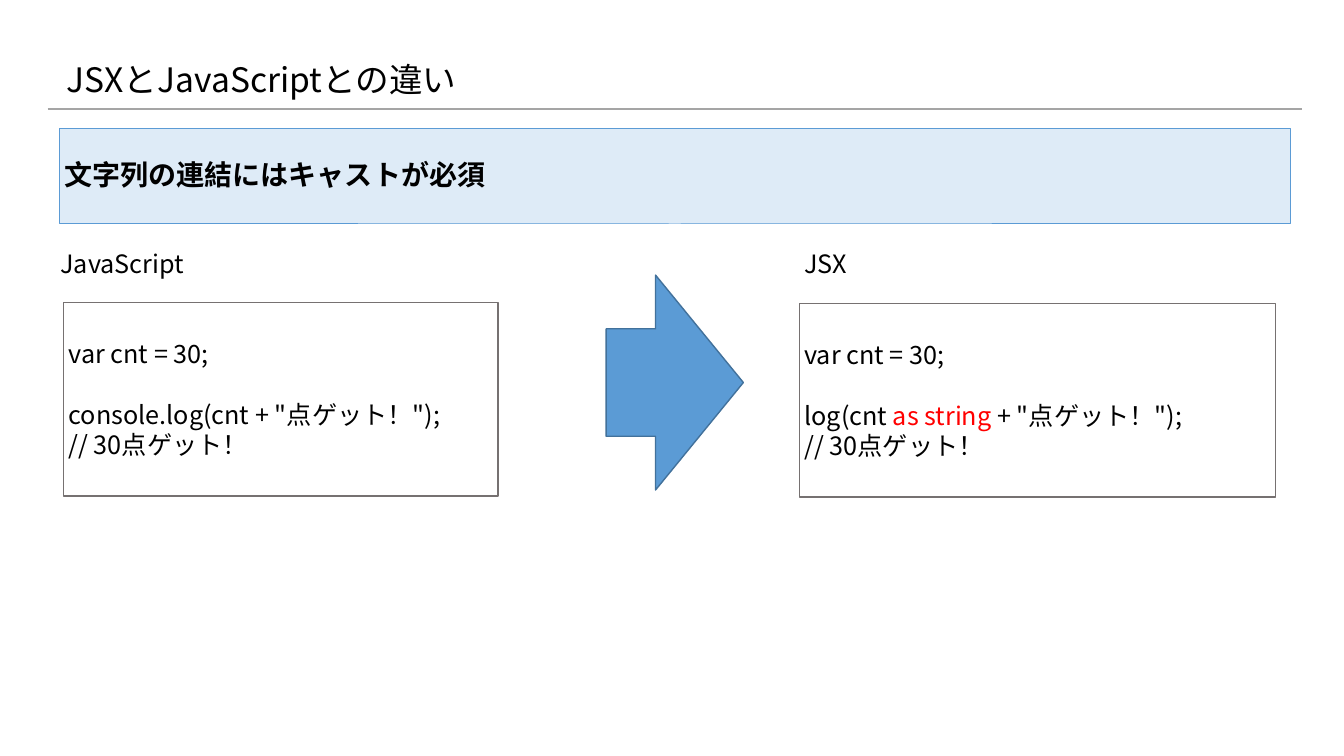
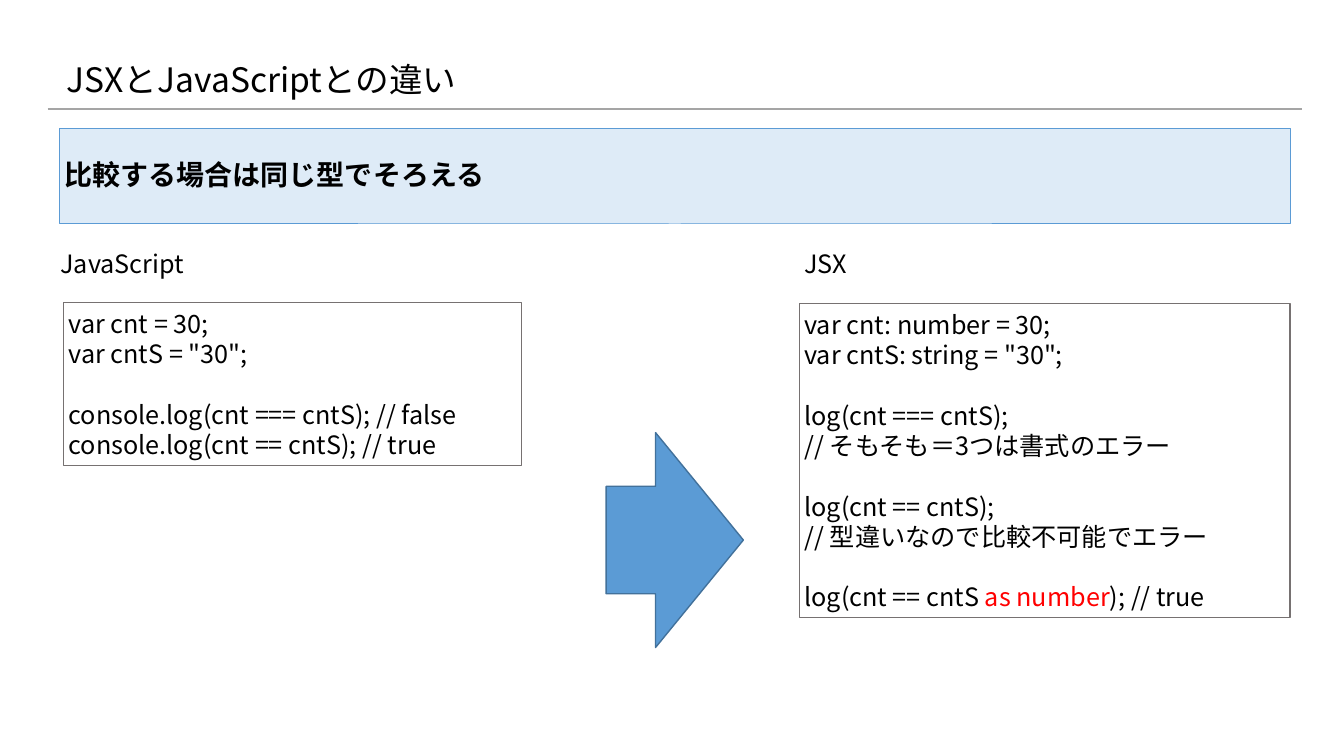
from pptx import Presentation
from pptx.dml.color import RGBColor
from pptx.enum.shapes import MSO_CONNECTOR, MSO_SHAPE
from pptx.enum.text import MSO_ANCHOR, PP_ALIGN
from pptx.oxml.ns import qn
from pptx.util import Pt
from lxml.etree import SubElement

# Content: code is a list of groups parted by a blank line, |marks| are highlighted
TITLE = "JSXとJavaScriptとの違い"
SLIDES = [
    {
        "message": "文字列の連結にはキャストが必須",
        "arrow_top": 196.5,
        "rows": (6, 6),
        "widths": (310.3, 340),
        "JavaScript": [
            ["var cnt = 30;"],
            ['console.log(cnt + "点ゲット！");', "// 30点ゲット！"],
        ],
        "JSX": [
            ["var cnt = 30;"],
            ['log(cnt |as string |+ "点ゲット！");', "// 30点ゲット！"],
        ],
    },
    {
        "message": "比較する場合は同じ型でそろえる",
        "arrow_top": 309,
        "rows": (5, 10),
        "widths": (327, 350.6),
        "JavaScript": [
            ["var cnt = 30;", 'var cntS = "30";'],
            ["console.log(cnt === cntS); // false", "console.log(cnt == cntS); // true"],
        ],
        "JSX": [
            ["var cnt: number = 30;", 'var cntS: string = "30";'],
            ["log(cnt === cntS);", "// そもそも＝3つは書式のエラー"],
            ["log(cnt == cntS);", "// 型違いなので比較不可能でエラー"],
            ["log(cnt == cntS |as number|); // true"],
        ],
    },
]

# Shared style
FONT = "Noto Sans CJK JP"
COLORS = {
    "text": "000000", "highlight": "FF0000", "rule": "A5A5A5",
    "band": "DEEBF7", "band_line": "5B9BD5", "code": "FFFFFF",
    "code_line": "767171", "arrow": "5B9BD5", "arrow_line": "42719B",
}
INSET = 3.6
LINE_HEIGHT = 21.6
# Language, label left, code left, code top
COLUMNS = [("JavaScript", 39.6, 45.4, 216), ("JSX", 571, 571, 216.7)]


def color(name):
    return RGBColor.from_string(COLORS[name])


def style_span(span, size, color_name="text", bold=False):
    span.font.size = Pt(size)
    span.font.name = FONT
    span.font.bold = bold
    span.font.color.rgb = color(color_name)
    east_asian = SubElement(span.font._element, qn("a:ea"))
    east_asian.set("typeface", FONT)


def set_frame(frame, anchor=MSO_ANCHOR.MIDDLE):
    frame.word_wrap = True
    frame.vertical_anchor = anchor
    frame.margin_left = frame.margin_right = Pt(INSET)
    frame.margin_top = frame.margin_bottom = Pt(INSET)


def set_text(shape, text, size, bold=False, anchor=MSO_ANCHOR.MIDDLE):
    frame = shape.text_frame
    set_frame(frame, anchor)
    frame.text = text
    para = frame.paragraphs[0]
    para.alignment = PP_ALIGN.LEFT
    style_span(para.runs[0], size, bold=bold)
    return para


def add_box(page, kind, place, name, line_width):
    box = page.shapes.add_shape(kind, *map(Pt, place))
    box.shadow.inherit = False
    box.fill.solid()
    box.fill.fore_color.rgb = color(name)
    box.line.color.rgb = color(name + "_line")
    box.line.width = Pt(line_width)
    return box


def add_header(page, message):
    rule = page.shapes.add_connector(
        MSO_CONNECTOR.STRAIGHT, Pt(34), Pt(78), Pt(930), Pt(78))
    rule.line.color.rgb = color("rule")
    rule.line.width = Pt(1.5)
    SubElement(rule._element.spPr, qn("a:effectLst"))
    set_text(page.shapes.title, TITLE, 24).line_spacing = 0.9
    band = add_box(page, MSO_SHAPE.RECTANGLE, (42.5, 91.5, 879, 68.5), "band", 0.75)
    set_text(band, message, 20, bold=True).line_spacing = 0.9


def add_code(page, groups, left, top, width, rows):
    height = rows * LINE_HEIGHT + 8.6
    box = add_box(page, MSO_SHAPE.RECTANGLE, (left, top, width, height), "code", 1)
    frame = box.text_frame
    set_frame(frame)
    lines = [(line, group_index > 0 and line_index == 0)
             for group_index, group in enumerate(groups)
             for line_index, line in enumerate(group)]
    for index, (line, gap_above) in enumerate(lines):
        para = frame.add_paragraph() if index else frame.paragraphs[0]
        para.alignment = PP_ALIGN.LEFT
        para.line_spacing = Pt(LINE_HEIGHT)
        para.space_before = Pt(LINE_HEIGHT if gap_above else 0)
        for part_index, part in enumerate(line.split("|")):
            span = para.add_run()
            span.text = part
            style_span(span, 18, "highlight" if part_index % 2 else "text")


def add_comparison(page, content):
    for column, width, rows in zip(COLUMNS, content["widths"], content["rows"]):
        language, label_left, code_left, code_top = column
        label = page.shapes.add_textbox(Pt(label_left), Pt(173.5), Pt(110), Pt(29))
        set_text(label, language, 18, anchor=MSO_ANCHOR.TOP)
        add_code(page, content[language], code_left, code_top, width, rows)
    arrow = add_box(page, MSO_SHAPE.RIGHT_ARROW,
                    (433, content["arrow_top"], 98, 153.5), "arrow", 1)
    arrow.adjustments[1] = 0.64


def main():
    deck = Presentation()
    deck.slide_width, deck.slide_height = Pt(960), Pt(540)

    # The title place is shared through the layout
    layout = deck.slide_layouts.get_by_name("Title Only")
    title = layout.placeholders[0]
    title.left, title.top, title.width, title.height = map(Pt, (44, 22.5, 770, 72))

    for content in SLIDES:
        page = deck.slides.add_slide(layout)
        add_header(page, content["message"])
        add_comparison(page, content)
    deck.save("out.pptx")


if __name__ == "__main__":
    main()
